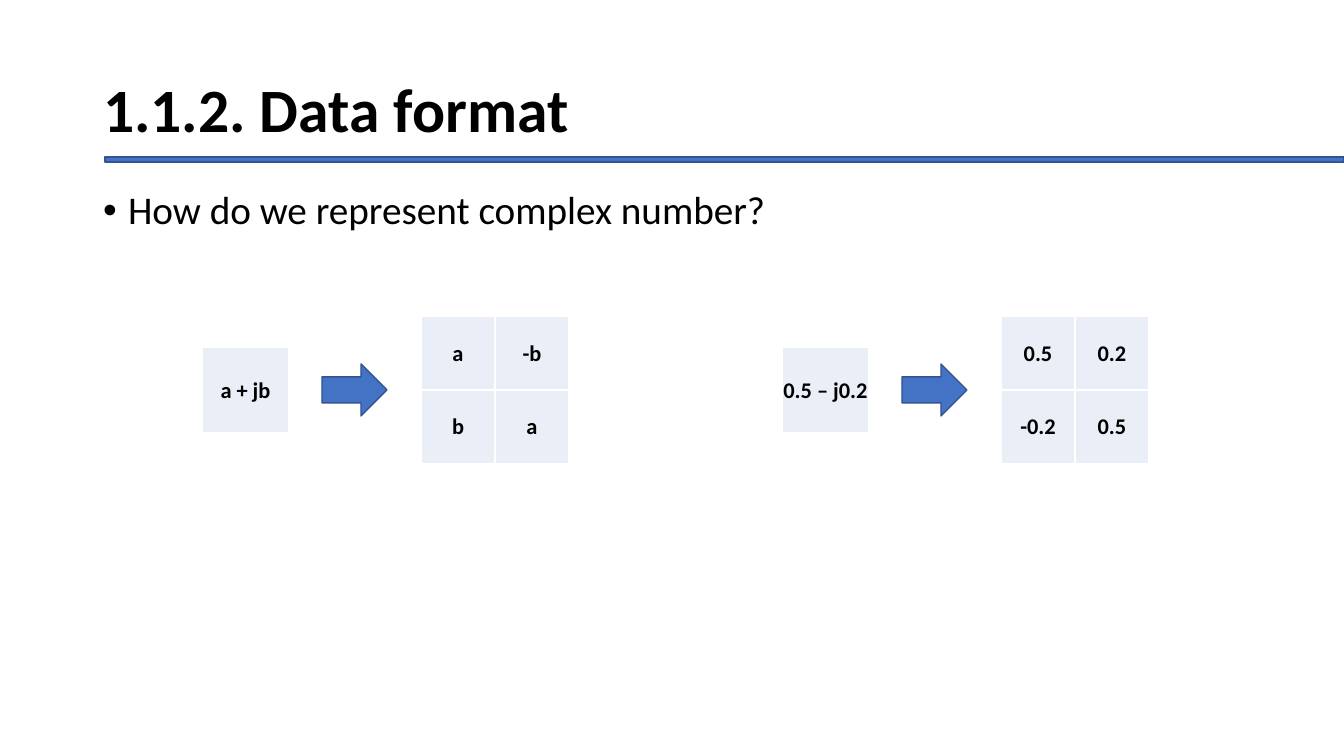
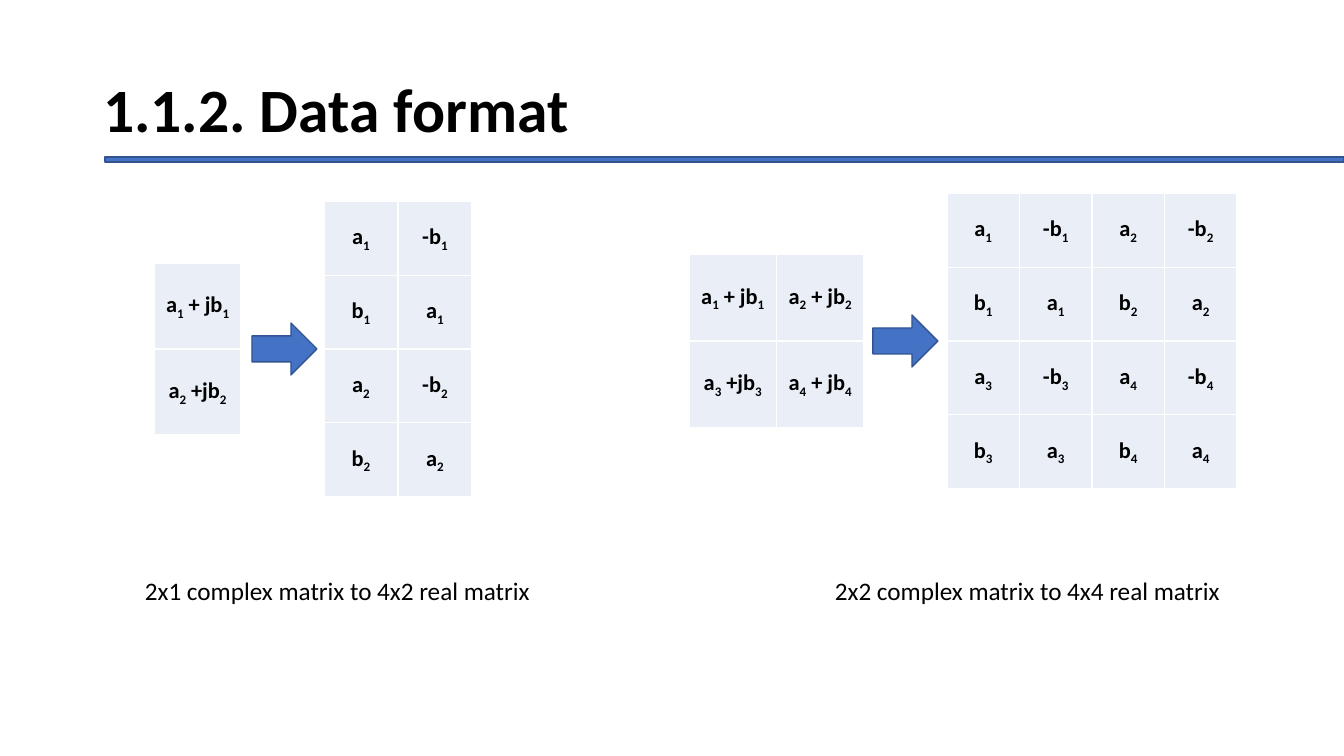
import dataclasses

import lxml.etree
import pptx
import pptx.dml.color
import pptx.enum.shapes
import pptx.enum.text
import pptx.oxml.ns
import pptx.util

TITLE = "1.1.2. Data format"
SLIDES = [
    {
        "bullet": "How do we represent complex number?",
        "conversions": [
            {"complex": [["a + jb"]], "complex_at": (202, 87, 86),
             "real": [["a", "-b"], ["b", "a"]], "real_at": (421, 148, 147),
             "arrow_x": 322, "middle": 390},
            {"complex": [["0.5 – j0.2"]], "complex_at": (782, 87, 86),
             "real": [["0.5", "0.2"], ["-0.2", "0.5"]], "real_at": (1001, 148, 147),
             "arrow_x": 902, "middle": 390},
        ],
        "captions": [],
    },
    {
        "bullet": None,
        "conversions": [
            {"complex": [["a_1 + jb_1"], ["a_2 +jb_2"]], "complex_at": (154, 87, 172),
             "real": [["a_1", "-b_1"], ["b_1", "a_1"], ["a_2", "-b_2"], ["b_2", "a_2"]],
             "real_at": (324, 148, 295), "arrow_x": 252, "middle": 349},
            {"complex": [["a_1 + jb_1", "a_2 + jb_2"], ["a_3 +jb_3", "a_4 + jb_4"]],
             "complex_at": (689, 175, 173),
             "real": [["a_1", "-b_1", "a_2", "-b_2"], ["b_1", "a_1", "b_2", "a_2"],
                      ["a_3", "-b_3", "a_4", "-b_4"], ["b_3", "a_3", "b_4", "a_4"]],
             "real_at": (947, 290, 295), "arrow_x": 873, "middle": 341},
        ],
        "captions": [
            ("2x1 complex matrix to 4x2 real matrix", 135, 409),
            ("2x2 complex matrix to 4x4 real matrix", 825, 412),
        ],
    },
]

SLIDE_SIZE = (1344, 756)
TITLE_BOX = (93, 40, 1159, 146)
BULLET_BOX = (93, 186, 1159, 93)
RULE_BOX = (105, 157, 1239, 5)
ARROW_SIZE = (65, 52)
CAPTION_Y, CAPTION_H = 570, 40
BULLET_INDENT = 25
EMU_PER_PX = 914400 / 100.8


@dataclasses.dataclass(frozen=True)
class Theme:
    font: str = "Calibri"
    text: str = "000000"
    accent: str = "4472C4"
    outline: str = "325491"
    cell: str = "EAEFF7"
    border: str = "FFFFFF"
    title_size: int = 44
    bullet_size: int = 28
    caption_size: int = 18
    cell_size: int = 16
    line_width: int = 1


THEME = Theme()


def px(n):
    return pptx.util.Emu(round(n * EMU_PER_PX))


def rgb(value):
    return pptx.dml.color.RGBColor.from_string(value)


def style(p, size, bold=False):
    p.font.name = THEME.font
    p.font.size = pptx.util.Pt(size)
    p.font.bold = bold
    p.font.color.rgb = rgb(THEME.text)


def place(sp, box):
    sp.left, sp.top, sp.width, sp.height = map(px, box)


def add_title(s):
    sp = s.shapes.title
    place(sp, TITLE_BOX)
    tf = sp.text_frame
    tf.text = TITLE
    tf.auto_size = pptx.enum.text.MSO_AUTO_SIZE.NONE
    tf.vertical_anchor = pptx.enum.text.MSO_ANCHOR.MIDDLE
    p = tf.paragraphs[0]
    p.alignment = pptx.enum.text.PP_ALIGN.LEFT
    p.line_spacing = 0.9
    style(p, THEME.title_size, True)


def add_bullet(s, text):
    sp = s.placeholders[1]
    place(sp, BULLET_BOX)
    tf = sp.text_frame
    tf.text = text
    tf.auto_size = pptx.enum.text.MSO_AUTO_SIZE.NONE
    p = tf.paragraphs[0]
    p.line_spacing = 0.9
    p.space_before = pptx.util.Pt(10)
    style(p, THEME.bullet_size)
    pPr = p._p.get_or_add_pPr()
    pPr.set("marL", str(px(BULLET_INDENT)))
    pPr.set("indent", str(-px(BULLET_INDENT)))


def add_solid(s, kind, box):
    sp = s.shapes.add_shape(kind, *map(px, box))
    sp.shadow.inherit = False
    sp.fill.solid()
    sp.fill.fore_color.rgb = rgb(THEME.accent)
    sp.line.color.rgb = rgb(THEME.outline)
    sp.line.width = pptx.util.Pt(THEME.line_width)


def add_borders(cell):
    tcPr = cell._tc.get_or_add_tcPr()
    qn = pptx.oxml.ns.qn
    for side in ("lnL", "lnR", "lnT", "lnB"):
        ln = lxml.etree.SubElement(tcPr, qn("a:" + side))
        ln.set("w", str(pptx.util.Pt(THEME.line_width)))
        fill = lxml.etree.SubElement(ln, qn("a:solidFill"))
        lxml.etree.SubElement(fill, qn("a:srgbClr")).set("val", THEME.border)


def add_subscripted(p, text):
    first, *rest = text.split("_")
    p.add_run().text = first
    for piece in rest:
        r = p.add_run()
        r.text = piece[0]
        r._r.get_or_add_rPr().set("baseline", "-25000")
        if piece[1:]:
            p.add_run().text = piece[1:]


def fill_cell(cell, text):
    add_borders(cell)
    cell.fill.solid()
    cell.fill.fore_color.rgb = rgb(THEME.cell)
    cell.margin_left = cell.margin_right = cell.margin_top = px(1)
    cell.margin_bottom = 0
    cell.vertical_anchor = pptx.enum.text.MSO_ANCHOR.MIDDLE
    p = cell.text_frame.paragraphs[0]
    p.alignment = pptx.enum.text.PP_ALIGN.CENTER
    add_subscripted(p, text)
    style(p, THEME.cell_size, True)


def add_matrix(s, matrix, at, middle):
    x, w, h = at
    rows, cols = len(matrix), len(matrix[0])
    box = (x, middle - h / 2, w, h)
    table = s.shapes.add_table(rows, cols, *map(px, box)).table
    table.first_row = table.horz_banding = False
    for col in table.columns:
        col.width = px(w / cols)
    for row in table.rows:
        row.height = px(h / rows)
    for i, values in enumerate(matrix):
        for j, text in enumerate(values):
            fill_cell(table.cell(i, j), text)


def add_conversion(s, item):
    middle = item["middle"]
    add_matrix(s, item["complex"], item["complex_at"], middle)
    add_matrix(s, item["real"], item["real_at"], middle)
    w, h = ARROW_SIZE
    add_solid(s, pptx.enum.shapes.MSO_SHAPE.RIGHT_ARROW,
              (item["arrow_x"], middle - h / 2, w, h))


def add_caption(s, text, x, w):
    tf = s.shapes.add_textbox(*map(px, (x, CAPTION_Y, w, CAPTION_H))).text_frame
    tf.word_wrap = False
    tf.auto_size = pptx.enum.text.MSO_AUTO_SIZE.SHAPE_TO_FIT_TEXT
    tf.text = text
    style(tf.paragraphs[0], THEME.caption_size)


prs = pptx.Presentation()
prs.slide_width, prs.slide_height = map(px, SLIDE_SIZE)
content_layout = prs.slide_layouts.get_by_name("Title and Content")
title_layout = prs.slide_layouts.get_by_name("Title Only")

for content in SLIDES:
    s = prs.slides.add_slide(content_layout if content["bullet"] else title_layout)
    add_title(s)
    if content["bullet"]:
        add_bullet(s, content["bullet"])
    add_solid(s, pptx.enum.shapes.MSO_SHAPE.RECTANGLE, RULE_BOX)
    for item in content["conversions"]:
        add_conversion(s, item)
    for caption in content["captions"]:
        add_caption(s, *caption)

prs.save("out.pptx")
